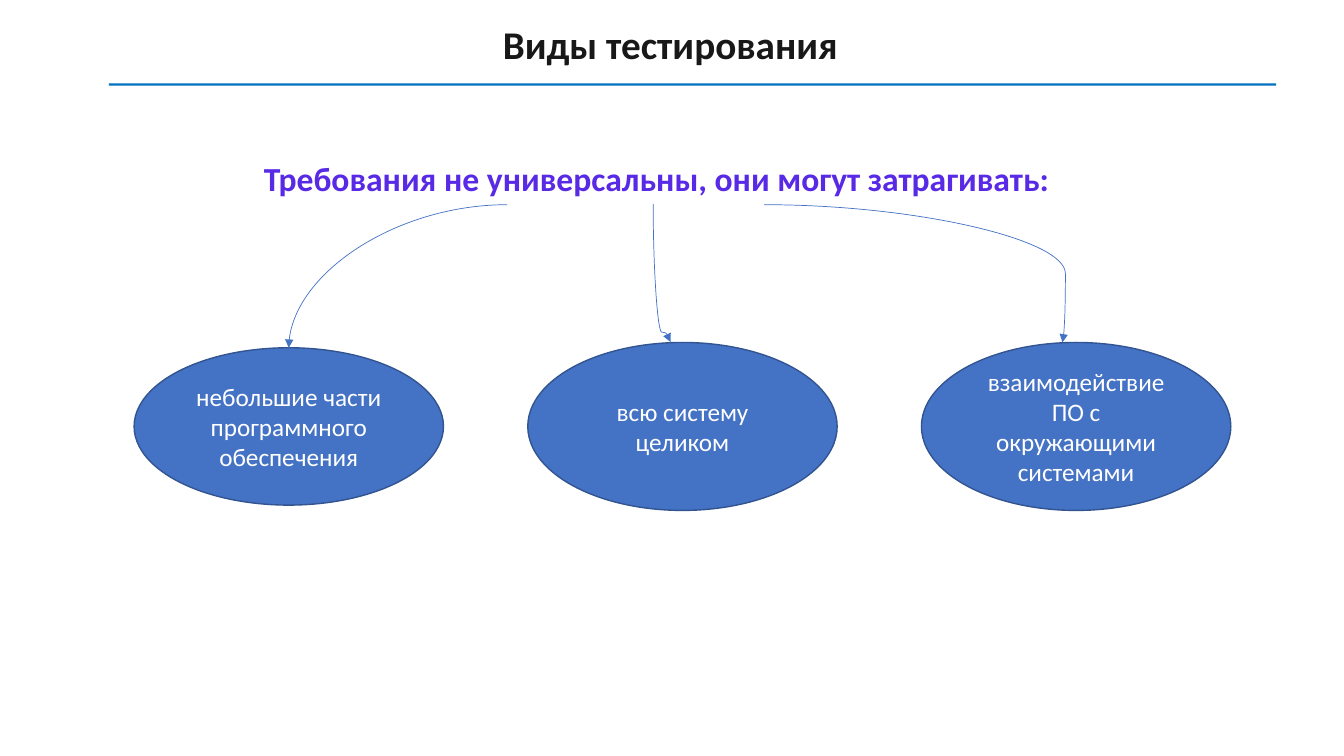
from pptx import Presentation
from pptx import util as u
from pptx.dml.color import RGBColor
from pptx.enum import shapes, text
from pptx.oxml import ns
from lxml import etree

COLORS = {
    "title": "181818",
    "rule": "0070C0",
    "heading": "582AE5",
    "fill": "4472C4",
    "outline": "325491",
    "label": "FFFFFF",
}


class SlideBuilder:
    font = "Calibri"

    def __init__(self, slide):
        self.slide = slide

    def color(self, name):
        return RGBColor.from_string(COLORS[name])

    def add_text(self, shape, words, size, color, bold=False, align=text.PP_ALIGN.LEFT,
                 anchor=text.MSO_ANCHOR.TOP, wrap=True):
        frame = shape.text_frame
        frame.word_wrap = wrap
        frame.vertical_anchor = anchor
        para = frame.paragraphs[0]
        para.alignment = align
        para.line_spacing = 1.0
        span = para.add_run()
        span.text = words
        span.font.name = self.font
        span.font.size = u.Pt(size)
        span.font.bold = bold
        span.font.color.rgb = self.color(color)

    def title(self, words, left, top, width, height):
        box = self.slide.shapes.title
        box.left, box.top, box.width, box.height = map(u.Pt, (left, top, width, height))
        self.add_text(box, words, 28, "title", bold=True, wrap=False)
        box.text_frame.auto_size = text.MSO_AUTO_SIZE.SHAPE_TO_FIT_TEXT

    def heading(self, words, left, top, width, height):
        box = self.slide.shapes.add_textbox(*map(u.Pt, (left, top, width, height)))
        self.add_text(box, words, 24, "heading", bold=True)
        box.text_frame.auto_size = text.MSO_AUTO_SIZE.SHAPE_TO_FIT_TEXT

    def shape(self, kind, left, top, width, height, fill):
        shape = self.slide.shapes.add_shape(kind, *map(u.Pt, (left, top, width, height)))
        shape.shadow.inherit = False
        shape.fill.solid()
        shape.fill.fore_color.rgb = self.color(fill)
        shape.line.fill.background()
        return shape

    def rule(self, left, top, width, height):
        self.shape(shapes.MSO_SHAPE.RECTANGLE, left, top, width, height, "rule")

    def ellipse(self, words, left, top, width, height):
        oval = self.shape(shapes.MSO_SHAPE.OVAL, left, top, width, height, "fill")
        oval.line.color.rgb = self.color("outline")
        oval.line.width = u.Pt(1)
        self.add_text(oval, words, 18, "label", align=text.PP_ALIGN.CENTER,
                      anchor=text.MSO_ANCHOR.MIDDLE)

    def curved_arrow(self, start, end, preset="curvedConnector3", bend=None, rotation=0):
        """Draw a curve; start and end are given before the rotation in degrees."""
        arrow = self.slide.shapes.add_connector(
            shapes.MSO_CONNECTOR.CURVE, *map(u.Pt, (*start, *end)))
        arrow.line.color.rgb = self.color("fill")
        arrow.line.width = u.Pt(0.5)
        props = arrow.element.spPr
        props.find(ns.qn("a:xfrm")).set("rot", str(rotation * 60000))
        geometry = props.find(ns.qn("a:prstGeom"))
        geometry.set("prst", preset)
        if bend is not None:
            guides = geometry.find(ns.qn("a:avLst"))
            etree.SubElement(guides, ns.qn("a:gd"), name="adj1",
                             fmla=f"val {round(bend * 100000)}")
        etree.SubElement(props.find(ns.qn("a:ln")), ns.qn("a:tailEnd"), type="triangle")
        etree.SubElement(props, ns.qn("a:effectLst"))


def main():
    deck = Presentation()
    deck.slide_width, deck.slide_height = u.Pt(960), u.Pt(540)
    page = SlideBuilder(deck.slides.add_slide(deck.slide_layouts[5]))

    page.rule(77.8, 59.6, 833.8, 1.6)
    page.title("Виды тестирования", 352, 10.8, 256.3, 41)
    page.heading("Требования не универсальны, они могут затрагивать:", 181.4, 109.4, 586, 36)

    targets = [
        ("небольшие части программного обеспечения", 112.4),
        ("всю систему целиком", 120),
        ("взаимодействие ПО с окружающими системами", 120),
    ]
    first_left, step, width, middle = 95.8, 281.2, 221, 304.6
    for index, (words, height) in enumerate(targets):
        page.ellipse(words, first_left + index * step, middle - height / 2, width, height)

    page.curved_arrow((362.2, 146.2), (206.3, 248.4), preset="curvedConnector2")
    page.curved_arrow((522, 188.8), (423.4, 201.2), bend=0.93, rotation=270)
    page.curved_arrow((545.8, 146.2), (758.9, 244.6), bend=1.01)

    deck.save("out.pptx")


if __name__ == "__main__":
    main()
